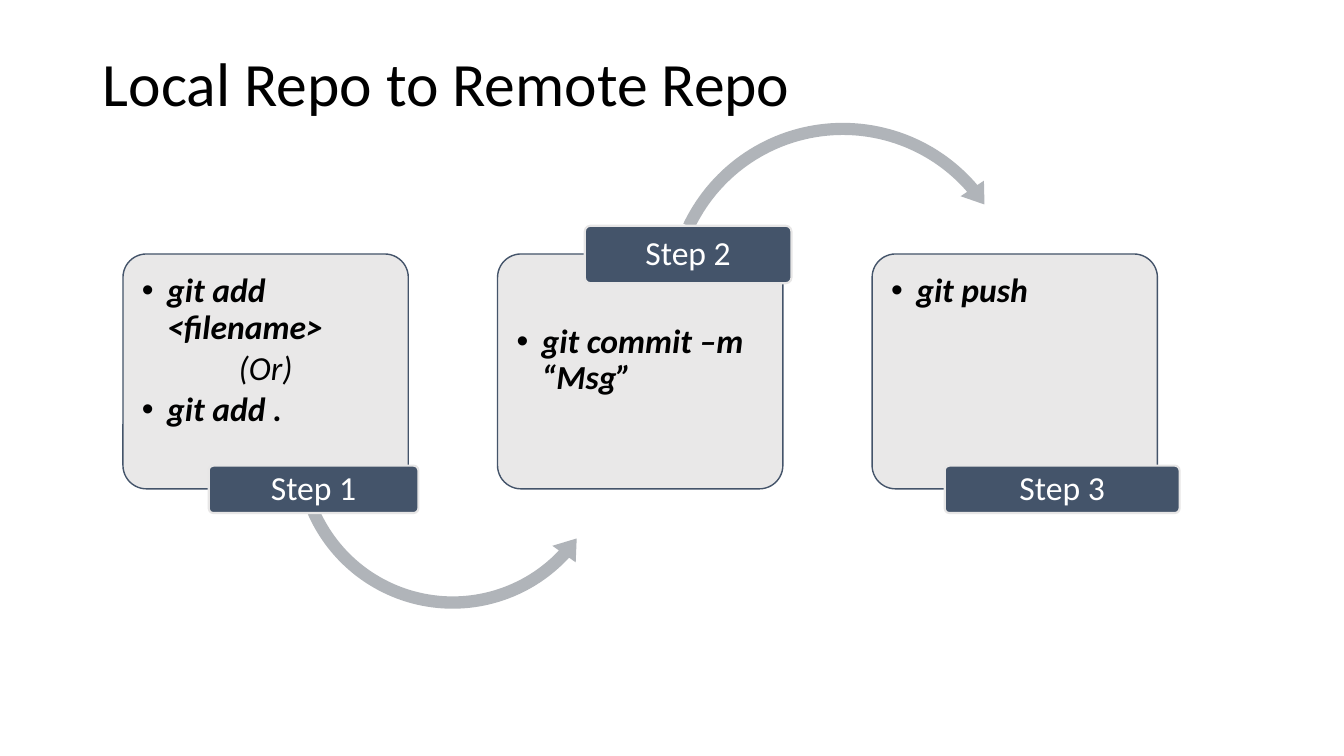
"""Build the slide showing the git steps from a local to a remote repository."""
from dataclasses import dataclass
from typing import Optional

from lxml import etree
from pptx import Presentation
from pptx.dml.color import RGBColor
from pptx.enum.shapes import MSO_SHAPE
from pptx.enum.text import MSO_ANCHOR, MSO_AUTO_SIZE, PP_ALIGN
from pptx.oxml.ns import qn
from pptx.shapes.autoshape import Shape
from pptx.slide import Slide
from pptx.util import Inches, Pt

ROUNDED = MSO_SHAPE.ROUNDED_RECTANGLE
ARROW_OVER = MSO_SHAPE.CIRCULAR_ARROW
ARROW_UNDER = MSO_SHAPE.LEFT_CIRCULAR_ARROW
TOP, MIDDLE = MSO_ANCHOR.TOP, MSO_ANCHOR.MIDDLE
LEFT, CENTER = PP_ALIGN.LEFT, PP_ALIGN.CENTER
NO_AUTOFIT = MSO_AUTO_SIZE.NONE

FONT = "Calibri"
COLORS = {
    "text": "000000",
    "card": "E7E6E6",
    "tag": "44546A",
    "tag_text": "FFFFFF",
    "arrow": "B0B4B9",
}
TITLE_LAYOUT = 5
CARD_LEFT, CARD_TOP, CARD_PITCH = 1.22, 2.52, 3.715
CARD_WIDTH, CARD_HEIGHT = 2.83, 2.33

Box = tuple[float, float, float, float]


@dataclass(frozen=True)
class Line:
    """One line of a card, bulleted unless it is a separator."""
    text: str
    bulleted: bool = True


@dataclass(frozen=True)
class Arrow:
    """A curved arrow with its preset shape, box and adjustments."""
    preset: MSO_SHAPE
    box: Box
    adjustments: tuple[float, ...]


@dataclass(frozen=True)
class Step:
    """A card with its tag and the arrow leading to the next card."""
    lines: tuple[Line, ...]
    text_top: float
    tag: str
    tag_box: Box
    arrow: Optional[Arrow] = None


STEPS = (
    Step(
        (Line("git add <filename>"), Line("(Or)", False), Line("git add .")),
        0.13, "Step 1", (2.07, 4.62, 2.08, 0.47),
        Arrow(ARROW_UNDER, (2.84, 2.82, 3.3, 3.3),
              (0.037, 4.55, 25.753, 93.693, 0.043)),
    ),
    Step(
        (Line("git commit –m “Msg”"),),
        0.63, "Step 2", (5.8, 2.24, 2.05, 0.57),
        Arrow(ARROW_OVER, (6.53, 1.14, 3.66, 3.66),
              (0.033, 4.074, 191.645, 123.229, 0.038)),
    ),
    Step((Line("git push"),), 0.13, "Step 3", (9.37, 4.62, 2.33, 0.47)),
)


def rgb(name: str) -> RGBColor:
    """Return the named colour."""
    return RGBColor.from_string(COLORS[name])


def add_box(page: Slide, preset: MSO_SHAPE, box: Box, fill: str,
            line: Optional[str] = None, weight: float = 1) -> Shape:
    """Add a filled preset shape without a shadow."""
    shape = page.shapes.add_shape(preset, *(Inches(length) for length in box))
    shape.shadow.inherit = False
    shape.fill.solid()
    shape.fill.fore_color.rgb = rgb(fill)
    if line:
        shape.line.color.rgb = rgb(line)
        shape.line.width = Pt(weight)
    else:
        shape.line.fill.background()
    return shape


def set_frame(shape: Shape, anchor: MSO_ANCHOR, margins: Box) -> None:
    """Set the wrapping, anchor and margins of a shape's text."""
    frame = shape.text_frame
    frame.word_wrap = True
    frame.auto_size = NO_AUTOFIT
    frame.vertical_anchor = anchor
    (frame.margin_left, frame.margin_top, frame.margin_right,
     frame.margin_bottom) = (Inches(margin) for margin in margins)


def format_text(shape: Shape, size: float, color: str, align: PP_ALIGN) -> None:
    """Format every paragraph and run of a shape."""
    for para in shape.text_frame.paragraphs:
        para.alignment = align
        para.line_spacing = 0.9
        for span in para.runs:
            span.font.name = FONT
            span.font.size = Pt(size)
            span.font.color.rgb = rgb(color)


def add_card(page: Slide, step: Step, left: float) -> None:
    """Add a translucent card with its commands."""
    box = (left, CARD_TOP, CARD_WIDTH, CARD_HEIGHT)
    card = add_box(page, ROUNDED, box, "card", "tag")
    card.adjustments[0] = 0.1
    color = card.element.spPr.find(qn("a:solidFill"))[0]
    etree.SubElement(color, qn("a:alpha"), val="90000")
    set_frame(card, TOP, (0.12, step.text_top, 0.12, 0.13))
    card.text_frame.text = "\n".join(line.text for line in step.lines)
    format_text(card, 24, "text", LEFT)
    for para, line in zip(card.text_frame.paragraphs, step.lines):
        para.space_after = Pt(3.6)
        para.runs[0].font.italic = True
        para.runs[0].font.bold = line.bulleted
        properties = para._p.get_or_add_pPr()
        properties.set("marL", str(Inches(0.25)))
        properties.set("indent", str(Inches(-0.25)))
        if line.bulleted:
            etree.SubElement(properties, qn("a:buFont"), typeface="Arial")
            etree.SubElement(properties, qn("a:buChar"), char="•")
        else:
            para.alignment = CENTER


def add_arrow(page: Slide, arrow: Arrow) -> None:
    """Add a curved arrow."""
    shape = add_box(page, arrow.preset, arrow.box, "arrow")
    for index, value in enumerate(arrow.adjustments):
        shape.adjustments[index] = value


def add_tag(page: Slide, step: Step) -> None:
    """Add the tag that names a step."""
    tag = add_box(page, ROUNDED, step.tag_box, "tag", "card", 1.5)
    tag.adjustments[0] = 0.1
    set_frame(tag, MIDDLE, (0.05, 0.03, 0.05, 0.03))
    tag.text_frame.text = step.tag
    format_text(tag, 24, "tag_text", CENTER)


def add_title(page: Slide, text: str) -> None:
    """Fill and place the title placeholder."""
    title = page.shapes.title
    title.left, title.top = Inches(0.92), Inches(0.4)
    title.width, title.height = Inches(7.72), Inches(0.91)
    set_frame(title, MIDDLE, (0.1, 0.05, 0.1, 0.05))
    title.text_frame.text = text
    format_text(title, 44, "text", LEFT)


def main() -> None:
    """Build and save the deck."""
    deck = Presentation()
    deck.slide_width, deck.slide_height = Inches(13.33), Inches(7.5)
    page = deck.slides.add_slide(deck.slide_layouts[TITLE_LAYOUT])
    add_title(page, "Local Repo to Remote Repo")
    for index, step in enumerate(STEPS):
        add_card(page, step, CARD_LEFT + index * CARD_PITCH)
        if step.arrow:
            add_arrow(page, step.arrow)
        add_tag(page, step)
    deck.save("out.pptx")


if __name__ == "__main__":
    main()
